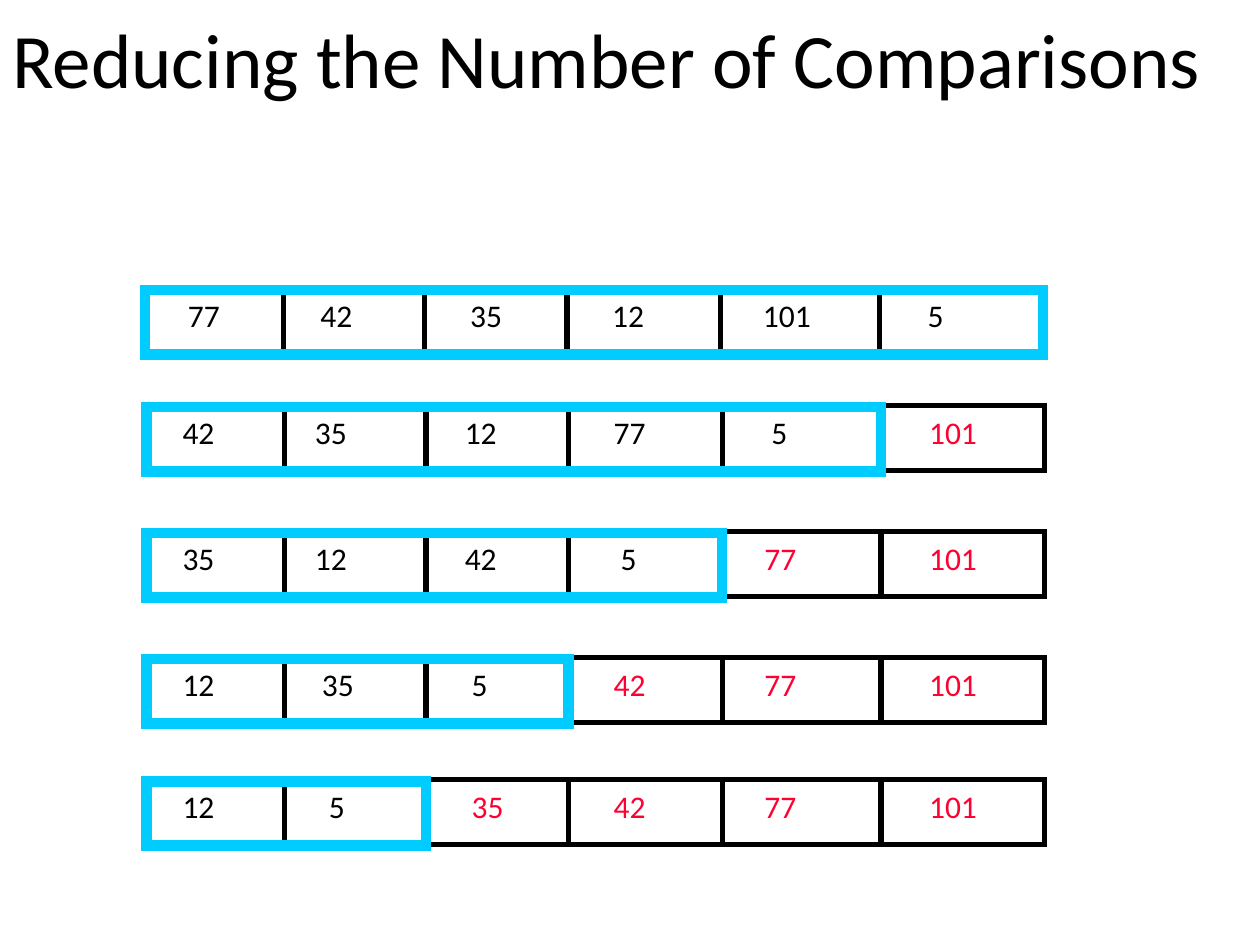
import lxml.etree
import pptx
import pptx.dml.color
import pptx.enum.shapes
import pptx.enum.text
import pptx.oxml.ns
import pptx.util

Cm = pptx.util.Cm
Pt = pptx.util.Pt

BLACK, RED, CYAN = "000000", "FF0033", "00CCFF"
FONT = "Calibri"
ROW_WIDTH, ROW_HEIGHT = 18.11, 1.3
CELL_ENDS = [2.79, 5.64, 8.51, 11.61, 14.81, ROW_WIDTH]
LABEL_LEFTS = [0.48, 3.15, 6.17, 9.17, 12.07, 15.39]
INSET, DIGIT, SPACE = 0.25, 0.47, 0.14

# left, top, unsorted count, (value, indent steps) for each cell
PASSES = [
    (2.92, 5.82, 6, [(77, 1), (42, 1), (35, 1), (12, 0), (101, 1), (5, 1)]),
    (2.95, 8.18, 5, [(42, 0), (35, 0), (12, 0), (77, 0), (5, 2), (101, 1)]),
    (2.95, 10.72, 4, [(35, 0), (12, 0), (42, 0), (5, 1), (77, 1), (101, 1)]),
    (2.95, 13.26, 3, [(12, 0), (35, 1), (5, 1), (42, 0), (77, 1), (101, 1)]),
    (2.95, 15.72, 2, [(12, 0), (5, 2), (35, 1), (42, 0), (77, 1), (101, 1)]),
]


def colour(value):
    """Turn a hex string into a colour."""
    return pptx.dml.color.RGBColor.from_string(value)


def style_line(line, value, width):
    """Give a line its colour, width and square corners."""
    line.color.rgb = colour(value)
    line.width = Pt(width)
    miter = lxml.etree.SubElement(line._get_or_add_ln(), pptx.oxml.ns.qn("a:miter"))
    miter.set("lim", "800000")


def style_text(para, text, size, value):
    """Write a paragraph in the slide's font."""
    para.text = text
    para.font.name = FONT
    para.font.size = Pt(size)
    para.font.color.rgb = colour(value)


def add_frame(shapes, left, top, width, value, weight):
    """Add an unfilled rectangle as tall as a row."""
    frame = shapes.add_shape(
        pptx.enum.shapes.MSO_SHAPE.RECTANGLE,
        Cm(left), Cm(top), Cm(width), Cm(ROW_HEIGHT))
    frame.shadow.inherit = False
    frame.fill.background()
    style_line(frame.line, value, weight)


def add_divider(shapes, x, top):
    """Add a vertical line between two cells."""
    divider = shapes.add_connector(
        pptx.enum.shapes.MSO_CONNECTOR.STRAIGHT,
        Cm(x), Cm(top), Cm(x), Cm(top + ROW_HEIGHT))
    style_line(divider.line, BLACK, 3)
    lxml.etree.SubElement(divider._element.spPr, pptx.oxml.ns.qn("a:effectLst"))


def add_label(shapes, left, top, number, steps, value):
    """Add the number in a cell, indented by a count of steps."""
    text = str(number)
    width = 2 * INSET + DIGIT * len(text) + 0.23 * steps
    box = shapes.add_textbox(Cm(left), Cm(top), Cm(width), Cm(1.27))
    frame = box.text_frame
    frame.word_wrap = False
    frame.auto_size = pptx.enum.text.MSO_AUTO_SIZE.SHAPE_TO_FIT_TEXT
    frame.margin_left = Cm(INSET + SPACE * steps)
    style_text(frame.paragraphs[0], text, 18, value)


def add_pass(page, left, top, unsorted, cells):
    """Add one pass of the sort, with its unsorted part outlined."""
    shapes = page.shapes.add_group_shape().shapes
    add_frame(shapes, left, top, ROW_WIDTH, BLACK, 3)
    for end in CELL_ENDS[:-1]:
        add_divider(shapes, left + end, top)
    for index, (offset, (number, steps)) in enumerate(zip(LABEL_LEFTS, cells)):
        value = BLACK if index < unsorted else RED
        add_label(shapes, left + offset, top + 0.03, number, steps, value)
    add_frame(shapes, left, top + 0.03, CELL_ENDS[unsorted - 1], CYAN, 6)


def add_title(page, left, top, width, height):
    """Add the slide's heading."""
    box = page.shapes.add_textbox(Cm(left), Cm(top), Cm(width), Cm(height))
    frame = box.text_frame
    frame.word_wrap = True
    frame.vertical_anchor = pptx.enum.text.MSO_ANCHOR.MIDDLE
    style_text(frame.paragraphs[0], "Reducing the Number of Comparisons", 44, BLACK)


def main():
    """Build and save the slide."""
    deck = pptx.Presentation()
    deck.slide_width, deck.slide_height = Cm(25.4), Cm(19.05)
    page = deck.slides.add_slide(deck.slide_layouts[6])
    add_title(page, 0, 0, 25.4, 2.34)
    for left, top, unsorted, cells in PASSES:
        add_pass(page, left, top, unsorted, cells)
    deck.save("out.pptx")


if __name__ == "__main__":
    main()
